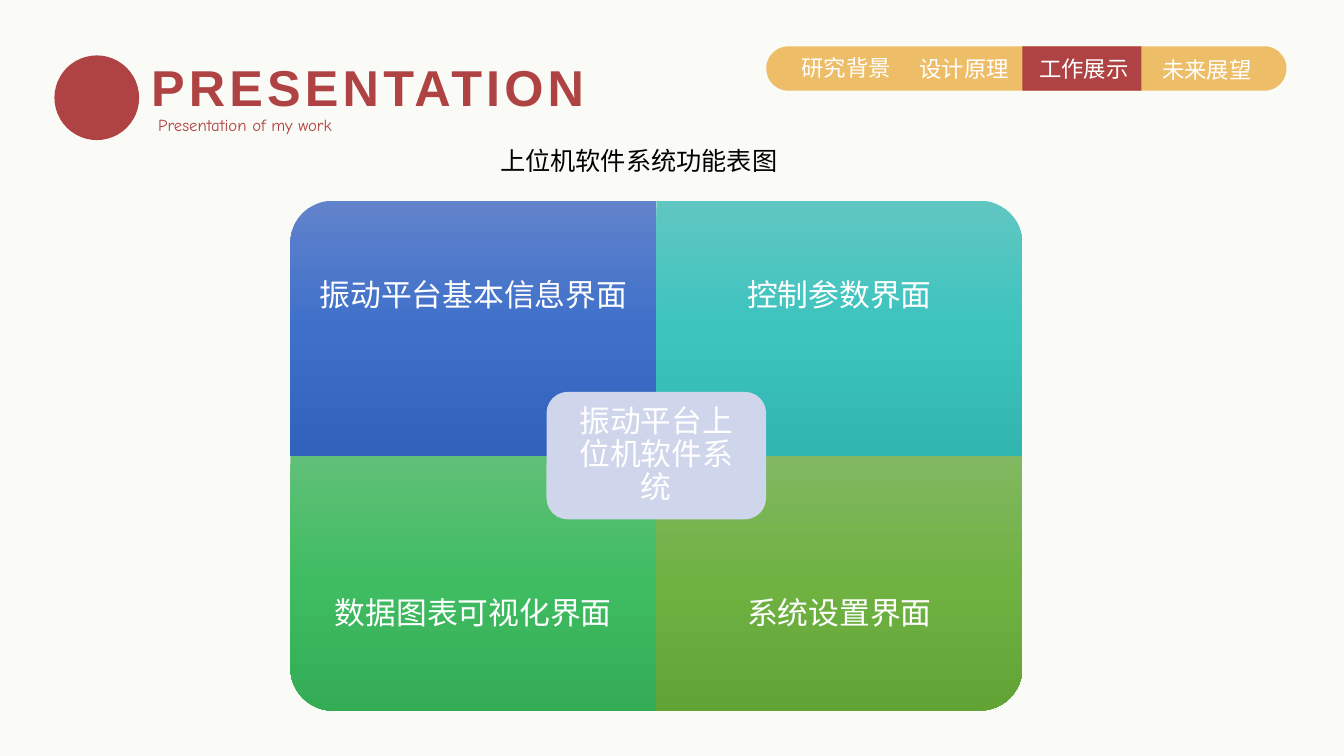
from copy import deepcopy

from pptx import Presentation
from pptx.dml.color import RGBColor
from pptx.enum.shapes import MSO_SHAPE
from pptx.enum.text import MSO_ANCHOR, MSO_AUTO_SIZE, PP_ALIGN
from pptx.oxml.ns import qn
from pptx.util import Inches, Pt

RECT, ROUND = MSO_SHAPE.RECTANGLE, MSO_SHAPE.ROUNDED_RECTANGLE
OVAL, CORNER = MSO_SHAPE.OVAL, MSO_SHAPE.ROUND_1_RECTANGLE
LEFT, CENTER = PP_ALIGN.LEFT, PP_ALIGN.CENTER
TOP, MIDDLE = MSO_ANCHOR.TOP, MSO_ANCHOR.MIDDLE
GROW, FIXED = MSO_AUTO_SIZE.SHAPE_TO_FIT_TEXT, MSO_AUTO_SIZE.NONE

HEX = {"paper": "FAFBF6", "gold": "EDBD68", "red": "AF4343",
       "white": "FFFFFF", "black": "000000", "hub": "CFD5EA"}
NAV = [("研究背景", 0.25, 0.03), ("设计原理", 1.42, 0.04),
       ("工作展示", 2.61, 0.04), ("未来展望", 3.83, 0.05)]
QUADS = [("振动平台基本信息界面", 0, 0, 270, ("6183CB", "3E70CA", "3062BB")),
         ("控制参数界面", 1, 0, 0, ("60C6C1", "3DC4BF", "30B5B0")),
         ("数据图表可视化界面", 0, 1, 180, ("60C077", "3FBC62", "33AC55")),
         ("系统设置界面", 1, 1, 90, ("81B861", "6FB242", "62A336"))]


def rgb(name):
    """Return the colour for a palette name or a hex string."""
    return RGBColor.from_string(HEX.get(name, name))


def place(slide, kind, x, y, w, h, color):
    """Add a flat preset shape without line or shadow."""
    shape = slide.shapes.add_shape(kind, Inches(x), Inches(y), Inches(w), Inches(h))
    shape.shadow.inherit = False
    shape.fill.solid()
    shape.fill.fore_color.rgb = rgb(color)
    shape.line.fill.background()
    return shape


def write(shape, text, size, font, color, bold=False):
    """Put one left-aligned paragraph in a shape that grows with it."""
    frame = shape.text_frame
    frame.text = text
    frame.word_wrap = True
    frame.auto_size = GROW
    frame.vertical_anchor = TOP
    para = frame.paragraphs[0]
    para.alignment = LEFT
    para.font.size = Pt(size)
    para.font.name = font
    para.font.bold = bold
    para.font.color.rgb = rgb(color)
    return para


def label(slide, x, y, w, h, *style):
    """Add a text box with one styled paragraph."""
    box = slide.shapes.add_textbox(Inches(x), Inches(y), Inches(w), Inches(h))
    return write(box, *style)


def caption(shape, text, inset):
    """Centre a white diagram caption in a shape."""
    para = write(shape, text, 22, "Calibri", "white")
    para.alignment = CENTER
    para.line_spacing = 0.9
    frame = shape.text_frame
    frame.auto_size = FIXED
    frame.vertical_anchor = MIDDLE
    frame.margin_left = frame.margin_right = Inches(inset)
    frame.margin_top = frame.margin_bottom = Inches(inset)


def shade(shape, colors):
    """Fill a shape with an upright gradient of three colours."""
    fill = shape.fill
    fill.gradient()
    fill.gradient_angle = 270
    grad = shape._element.spPr.find(qn("a:gradFill"))
    grad.set("rotWithShape", "0")
    first = grad.find(qn("a:gsLst"))[0]
    first.addnext(deepcopy(first))
    for i, (stop, color) in enumerate(zip(fill.gradient_stops, colors)):
        stop.position = i / 2
        stop.color.rgb = rgb(color)


def nav(slide, x, y, w, h):
    """Draw the section bar with the current section marked."""
    bar = place(slide, ROUND, x, y, w, h, "gold")
    bar.adjustments[0] = 0.5
    place(slide, RECT, x + 2.54, y, 1.18, h, "red")
    for text, dx, dy in NAV:
        label(slide, x + dx, y + dy, 1.31, 0.37,
              text, 16, "Noto Sans CJK SC", "white")


def brand(slide, x, y):
    """Draw the round badge and the deck name beside it."""
    place(slide, OVAL, x, y, 0.84, 0.84, "red")
    name = label(slide, x + 0.86, y - 0.04, 4.69, 0.71,
                 "PRESENTATION", 36, "Arial", "red", True)
    name.runs[0]._r.get_or_add_rPr().set("spc", "300")
    label(slide, x + 0.93, y + 0.54, 4.17, 0.3,
          "Presentation of my work", 12, "Comic Neue", "red")


def heading(slide, x, y, w, h):
    """Place and format the slide title."""
    title = slide.shapes.title
    title.left, title.top = Inches(x), Inches(y)
    title.width, title.height = Inches(w), Inches(h)
    write(title, "上位机软件系统功能表图", 18, "Calibri", "black")


def matrix(slide, x, y, w, h):
    """Draw four shaded quarters around a central hub."""
    cw, ch = w / 2, h / 2
    for text, col, row, turn, colors in QUADS:
        left, top = x + col * cw, y + row * ch
        sw, sh = (ch, cw) if turn % 180 else (cw, ch)
        part = place(slide, CORNER, left + (cw - sw) / 2, top + (ch - sh) / 2,
                     sw, sh, colors[0])
        part.rotation = turn
        shade(part, colors)
        box = slide.shapes.add_textbox(Inches(left), Inches(top + row * ch / 4),
                                       Inches(cw), Inches(ch * 0.75))
        caption(box, text, 0.17)
    hw, hh = cw * 0.6, ch / 2
    hub = place(slide, ROUND, x + cw - hw / 2, y + ch - hh / 2, hw, hh, "hub")
    caption(hub, "振动平台上位机软件系统", 0.15)


def main():
    """Build the slide and save it."""
    deck = Presentation()
    deck.slide_width, deck.slide_height = Inches(13.33), Inches(7.5)
    slide = deck.slides.add_slide(deck.slide_layouts[5])
    slide.background.fill.solid()
    slide.background.fill.fore_color.rgb = rgb("paper")
    nav(slide, 7.6, 0.46, 5.16, 0.44)
    brand(slide, 0.54, 0.55)
    heading(slide, 4.86, 1.39, 4.81, 0.4)
    matrix(slide, 2.88, 1.99, 7.26, 5.06)
    deck.save("out.pptx")


if __name__ == "__main__":
    main()
